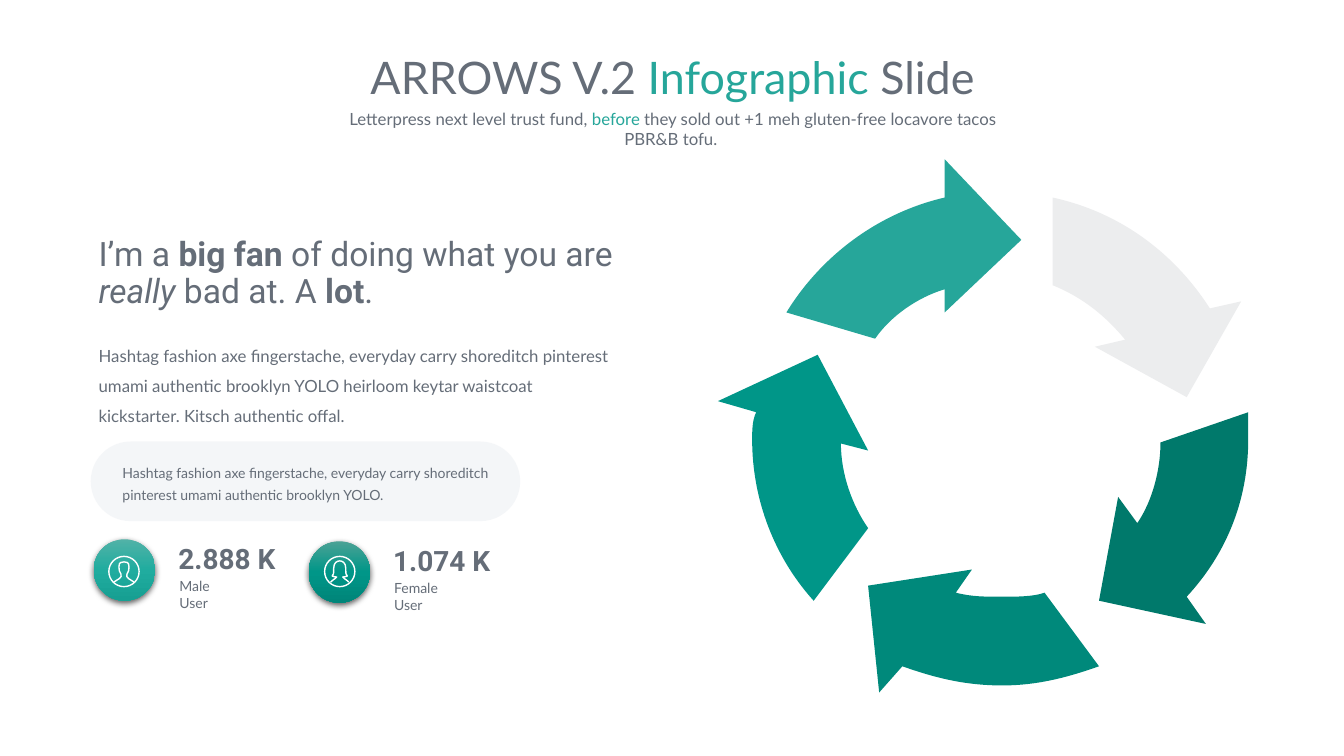
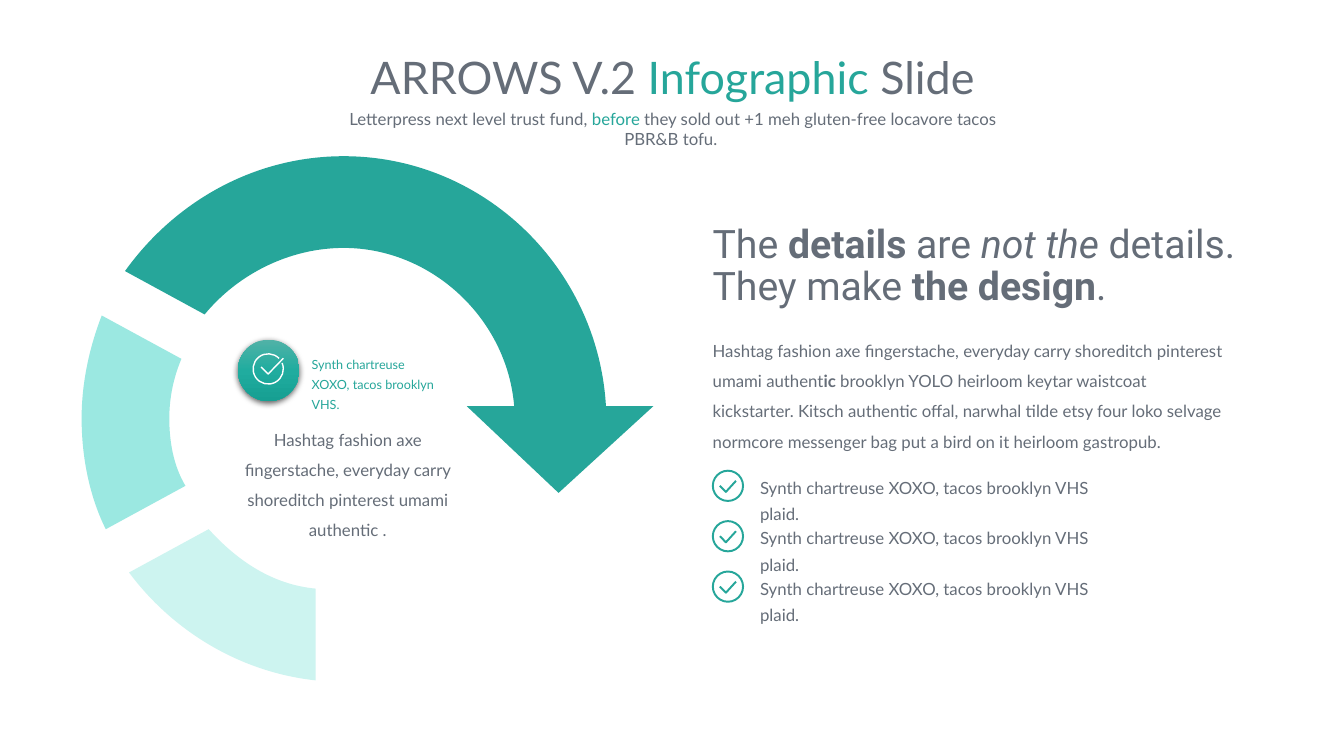
"""Build two arrow infographic slides with a shared title, subtitle and text style."""
from math import cos, radians, sin, tan

from pptx import Presentation
from pptx.dml.color import RGBColor
from pptx.enum.shapes import MSO_SHAPE as Shape
from pptx.enum.text import MSO_ANCHOR as Anchor, MSO_AUTO_SIZE as AutoSize, PP_ALIGN as Align
from pptx.oxml import parse_xml
from pptx.oxml.ns import nsdecls, qn
from pptx.util import Inches, Pt

GREY, TEAL, WHITE = "656D78", "26A69A", "FFFFFF"
LIGHT_BADGE = ("51B2A7", "20AC9F", "169F92")
DARK_BADGE = ("4BA295", "009688", "008579")
BADGE_SIZE = 0.61
RING_SIZE = 0.3

TITLE = [("ARROWS V.2 ", ""), ("Infographic ", "accent"), ("Slide", "")]
SUBTITLE = [
    ("Letterpress next level trust fund, ", ""),
    ("before", "accent"),
    (" they sold out +1 meh gluten-free locavore tacos PBR&B tofu. ", ""),
]

FAN_HEADING = [
    ("I’m a ", ""), ("big fan ", "bold"), ("of doing what you are ", ""),
    ("really", "italic"), (" bad at. A ", ""), ("lot", "bold"), (".", ""),
]
FAN_BODY = [(
    "Hashtag fashion axe fingerstache, everyday carry shoreditch pinterest umami authentic "
    "brooklyn YOLO heirloom keytar waistcoat kickstarter. Kitsch authentic offal.", "")]
PILL_TEXT = [(
    "Hashtag fashion axe fingerstache, everyday carry shoreditch pinterest umami authentic "
    "brooklyn YOLO.", "")]

DESIGN_HEADING = [
    ("The ", ""), ("details", "bold"), (" are ", ""), ("not the ", "italic"),
    ("details. They make ", ""), ("the design", "bold"), (".", ""),
]
DESIGN_BODY = [
    ("Hashtag fashion axe fingerstache, everyday carry shoreditch pinterest umami authent", ""),
    ("ic ", "bold"),
    ("brooklyn YOLO heirloom keytar waistcoat kickstarter. Kitsch authentic offal, narwhal "
     "tilde etsy four loko selvage normcore messenger bag put a bird on it heirloom gastropub.", ""),
]
BADGE_NOTE = [("Synth chartreuse XOXO, tacos brooklyn VHS.", "accent")]
RING_TEXT = [(
    "Hashtag fashion axe fingerstache, everyday carry shoreditch pinterest umami authentic .", "")]
CHECKLIST = ["Synth chartreuse XOXO, tacos brooklyn VHS plaid."] * 3

# Two numbers make a straight step, six a cubic curve.
CYCLE_ARROWS = [
    (TEAL, [(10.13, 2.38), (9.37, 1.58), (9.37, 1.96), (8.72, 2.11, 8.15, 2.53, 7.8, 3.1),
            (8.68, 3.36), (8.83, 3.14, 9.1, 2.95, 9.37, 2.87), (9.37, 3.1)]),
    ("009688", [(8.11, 3.52), (7.12, 3.98), (7.5, 4.09), (7.46, 4.17, 7.46, 4.28, 7.46, 4.36),
                (7.46, 4.97, 7.69, 5.54, 8.07, 5.96), (8.61, 5.24),
                (8.45, 5.01, 8.34, 4.7, 8.34, 4.4), (8.61, 4.47)]),
    ("00897B", [(9.64, 5.65), (8.61, 5.81), (8.72, 6.87), (8.95, 6.61),
                (9.26, 6.72, 9.56, 6.8, 9.94, 6.8), (10.29, 6.8, 10.59, 6.72, 10.9, 6.61),
                (10.36, 5.88), (10.25, 5.92, 10.09, 5.92, 9.94, 5.92),
                (9.75, 5.92, 9.64, 5.92, 9.48, 5.88)]),
    ("00796B", [(12.38, 4.09), (11.51, 4.39), (11.51, 4.66, 11.43, 4.97, 11.28, 5.19),
                (11.09, 4.93), (10.9, 5.96), (11.96, 6.19), (11.77, 5.92),
                (12.16, 5.5, 12.38, 4.97, 12.38, 4.36)]),
    ("ECEDEE", [(10.44, 1.96), (10.44, 2.83), (10.74, 2.95, 10.97, 3.14, 11.16, 3.37),
                (10.86, 3.44), (11.77, 3.94), (12.31, 2.99), (12, 3.06),
                (11.66, 2.53, 11.13, 2.11, 10.44, 1.96)]),
]
RING_PARTS = [
    ("CDF4F0", [(2.07, 5.25), (1.28, 5.68), (1.72, 6.27, 2.39, 6.67, 3.13, 6.75),
                (3.13, 5.84), (2.7, 5.8, 2.35, 5.56, 2.07, 5.25)]),
    ("9BE8E1", [(1.01, 3.13), (0.89, 3.44, 0.81, 3.79, 0.81, 4.15),
                (0.81, 4.54, 0.89, 4.93, 1.05, 5.25), (1.84, 4.82),
                (1.72, 4.62, 1.68, 4.38, 1.68, 4.15), (1.68, 3.95, 1.72, 3.75, 1.8, 3.56)]),
    (TEAL, [(6.01, 4.03), (5.93, 2.65, 4.79, 1.55, 3.41, 1.55),
            (2.5, 1.55, 1.72, 2.02, 1.24, 2.69), (2.03, 3.12),
            (2.35, 2.73, 2.86, 2.46, 3.41, 2.46), (4.28, 2.46, 5.03, 3.16, 5.1, 4.03),
            (4.63, 4.03), (5.54, 4.89), (6.48, 4.03)]),
]

# Icon outlines are hundredths of an inch from the icon centre.
MALE_HALF = [(-10, 10.5), (-7.5, 8.5, -6.5, 8.5, -4.5, 7), (-2.5, 5.5, -2.5, 4.5, -3, 2.5),
             (-4.5, 0.5, -5, -1.5, -5, -4.5), (-5, -9.5, -2.5, -9.5, 0, -9.5)]
FEMALE_HALF = [(-9, 10.5), (-7.5, 9, -5.5, 7.5, -4.5, 7), (-3, 6.5, -3, 6, -3, 5.5),
               (-4.5, 5.5, -6.5, 5, -7.5, 4.5), (-6, 3.5, -6, 2, -6, -3),
               (-6, -9, -2.5, -10.5, 0, -10.5)]
BADGE_TICK = [(-7, -2), (0, 5), (15, -10.5)]
LIST_TICK = [(-8, 0), (-2, 6), (8, -5)]

USERS = [
    (0.93, 5.35, LIGHT_BADGE, (1.23, 5.67), MALE_HALF, "2.888 K", "Male User", 0.58),
    (3.06, 5.37, DARK_BADGE, (3.37, 5.67), FEMALE_HALF, "1.074 K", "Female User", 0.73),
]


def rgb(color):
    return RGBColor.from_string(color)


def arc(start, end, radius=15, pieces=4):
    """Describe a circular arc around the origin as cubic steps."""
    turn = radians(end - start) / pieces
    reach = 4 / 3 * tan(turn / 4)
    angles = [radians(start) + turn * index for index in range(pieces + 1)]
    steps = [(radius * cos(angles[0]), radius * sin(angles[0]))]
    for first, last in zip(angles, angles[1:]):
        steps.append(tuple(radius * value for value in (
            cos(first) - reach * sin(first), sin(first) + reach * cos(first),
            cos(last) + reach * sin(last), sin(last) - reach * cos(last),
            cos(last), sin(last))))
    return steps


def mirrored(half):
    """Continue a curved left half with its reflection."""
    steps = list(half)
    for previous, step in zip(half[-2::-1], half[:0:-1]):
        x1, y1, x2, y2 = step[:4]
        steps.append((-x2, y2, -x1, y1, -previous[-2], previous[-1]))
    return steps


def paint(shape, fill=None, line=None, width=1):
    shape.shadow.inherit = False
    if fill:
        shape.fill.solid()
        shape.fill.fore_color.rgb = rgb(fill)
    else:
        shape.fill.background()
    if line:
        shape.line.color.rgb = rgb(line)
        shape.line.width = Pt(width)
    else:
        shape.line.fill.background()


def add_outline(page, contours, closed=True, **style):
    """Draw contours as one freeform and bend its curved steps."""
    builder = None
    for contour in contours:
        ends = [tuple(map(Inches, step[-2:])) for step in contour]
        if builder:
            builder.move_to(*ends[0])
        else:
            builder = page.shapes.build_freeform(*ends[0])
        builder.add_line_segments(ends[1:], close=closed)
    shape = builder.convert_to_shape()
    outline = shape._element.spPr.find(".//" + qn("a:path"))
    nodes = [node for node in outline if node.tag != qn("a:close")]
    steps = [step for contour in contours for step in contour]
    for node, step in zip(nodes, steps):
        if len(step) == 6:
            points = "".join(
                f'<a:pt x="{Inches(x) - shape.left}" y="{Inches(y) - shape.top}"/>'
                for x, y in zip(step[::2], step[1::2]))
            outline.replace(node, parse_xml(
                f'<a:cubicBezTo {nsdecls("a")}>{points}</a:cubicBezTo>'))
    paint(shape, **style)


def add_icon(page, center, contours, color, width):
    placed = [[tuple(center[index % 2] + value / 100 for index, value in enumerate(step))
               for step in contour] for contour in contours]
    add_outline(page, placed, closed=False, line=color, width=width)


def add_circle(page, left, top, size):
    return page.shapes.add_shape(Shape.OVAL, *map(Inches, (left, top, size, size)))


def write(frame, spans, size, font="Lato", spacing=None, align=Align.LEFT):
    frame.word_wrap = True
    para = frame.paragraphs[0]
    para.alignment = align
    if spacing:
        para.line_spacing = spacing
    for text, style in spans:
        span = para.add_run()
        span.text = text
        span.font.name = font
        span.font.size = Pt(size)
        span.font.bold = style == "bold"
        span.font.italic = style == "italic"
        span.font.color.rgb = rgb(TEAL if style == "accent" else GREY)


def add_text(page, place, spans, size, inset=True, **style):
    box = page.shapes.add_textbox(*map(Inches, place))
    frame = box.text_frame
    if not inset:
        frame.margin_left = frame.margin_right = frame.margin_top = frame.margin_bottom = 0
    write(frame, spans, size, **style)


def add_badge(page, left, top, colors):
    """Add a round gradient badge with a soft shadow."""
    badge = add_circle(page, left, top, BADGE_SIZE)
    paint(badge)
    badge.fill.gradient()
    badge.fill.gradient_angle = 270
    properties = badge._element.spPr
    stops = properties.find(".//" + qn("a:gsLst"))
    for stop in list(stops):
        stops.remove(stop)
    for index, color in enumerate(colors):
        stops.append(parse_xml(
            f'<a:gs {nsdecls("a")} pos="{index * 50000}"><a:srgbClr val="{color}"/></a:gs>'))
    properties.find(qn("a:effectLst")).append(parse_xml(
        f'<a:outerShdw {nsdecls("a")} blurRad="{Pt(4.5)}" dist="{Pt(1.5)}" dir="5400000" '
        'algn="ctr" rotWithShape="0"><a:srgbClr val="000000"><a:alpha val="63000"/>'
        '</a:srgbClr></a:outerShdw>'))


def add_page(deck):
    page = deck.slides.add_slide(deck.slide_layouts[5])
    title = page.shapes.title
    title.left, title.top, title.width, title.height = map(Inches, (2.54, 0.44, 8.26, 0.64))
    title.text_frame.auto_size = AutoSize.NONE
    title.text_frame.vertical_anchor = Anchor.TOP
    write(title.text_frame, TITLE, 32, align=Align.CENTER)
    add_text(page, (3.2, 1.03, 6.95, 0.3), SUBTITLE, 12, align=Align.CENTER)
    return page


def add_pill(page):
    pill = page.shapes.add_shape(Shape.ROUNDED_RECTANGLE, *map(Inches, (0.9, 4.38, 4.26, 0.79)))
    pill.adjustments[0] = 0.5
    paint(pill, fill="D6DCE5")
    tint = pill._element.spPr.find(qn("a:solidFill")).find(qn("a:srgbClr"))
    tint.append(parse_xml(f'<a:alpha {nsdecls("a")} val="25000"/>'))
    frame = pill.text_frame
    frame.margin_left = frame.margin_right = Inches(0.2)
    frame.vertical_anchor = Anchor.MIDDLE
    write(frame, PILL_TEXT, 10, spacing=1.3)


def add_user(page, left, top, colors, center, half, amount, label, label_width):
    add_badge(page, left, top, colors)
    add_text(page, (left + 0.74, top - 0.03, 1.18, 0.44), [(amount, "bold")], 20, font="Roboto")
    add_text(page, (left + 0.85, top + 0.38, label_width, 0.17), [(label, "")], 10, inset=False)
    add_icon(page, center, [arc(0, 360), mirrored(half)], WHITE, 1)


def build_cycle_page(deck):
    page = add_page(deck)
    for color, steps in CYCLE_ARROWS:
        add_outline(page, [steps], fill=color)
    add_text(page, (0.88, 2.31, 5.46, 0.83), FAN_HEADING, 24, font="Roboto", spacing=0.9)
    add_text(page, (0.88, 3.28, 5.32, 1.01), FAN_BODY, 12, spacing=1.5)
    add_pill(page)
    for user in USERS:
        add_user(page, *user)


def build_ring_page(deck):
    page = add_page(deck)
    for color, steps in RING_PARTS:
        add_outline(page, [steps], fill=color)
    add_text(page, (3.09, 3.5, 1.28, 0.47), BADGE_NOTE, 9, inset=False, spacing=1.3)
    add_badge(page, 2.36, 3.37, LIGHT_BADGE)
    add_text(page, (2.31, 4.11, 2.28, 1.28), RING_TEXT, 12, spacing=1.5, align=Align.CENTER)
    add_icon(page, (2.66, 3.66), [arc(-23, 316), BADGE_TICK], WHITE, 1)
    add_text(page, (6.97, 2.18, 5.46, 0.95), DESIGN_HEADING, 28, font="Roboto", spacing=0.9)
    add_text(page, (6.97, 3.23, 5.32, 1.31), DESIGN_BODY, 12, spacing=1.5)
    for index, item in enumerate(CHECKLIST):
        top = 4.67 + index * 0.5
        paint(add_circle(page, 7.07, top, RING_SIZE), line=TEAL, width=1.38)
        add_icon(page, (7.22, top + RING_SIZE / 2), [LIST_TICK], TEAL, 1.38)
        add_text(page, (7.44, top - 0.04, 3.55, 0.34), [(item, "")], 12, spacing=1.3)


def main():
    deck = Presentation()
    deck.slide_width, deck.slide_height = Inches(13.33), Inches(7.5)
    build_cycle_page(deck)
    build_ring_page(deck)
    deck.save("out.pptx")


if __name__ == "__main__":
    main()
